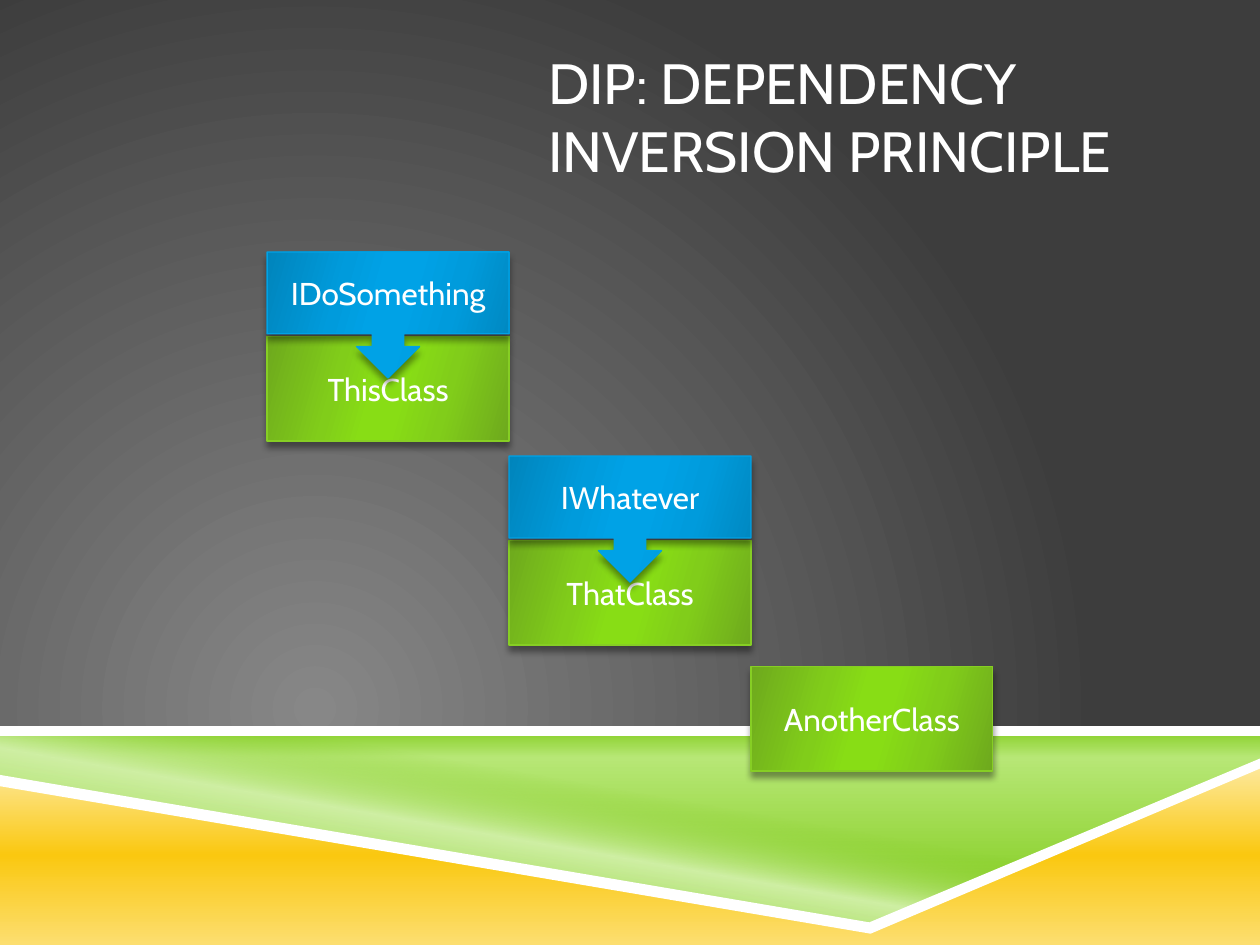
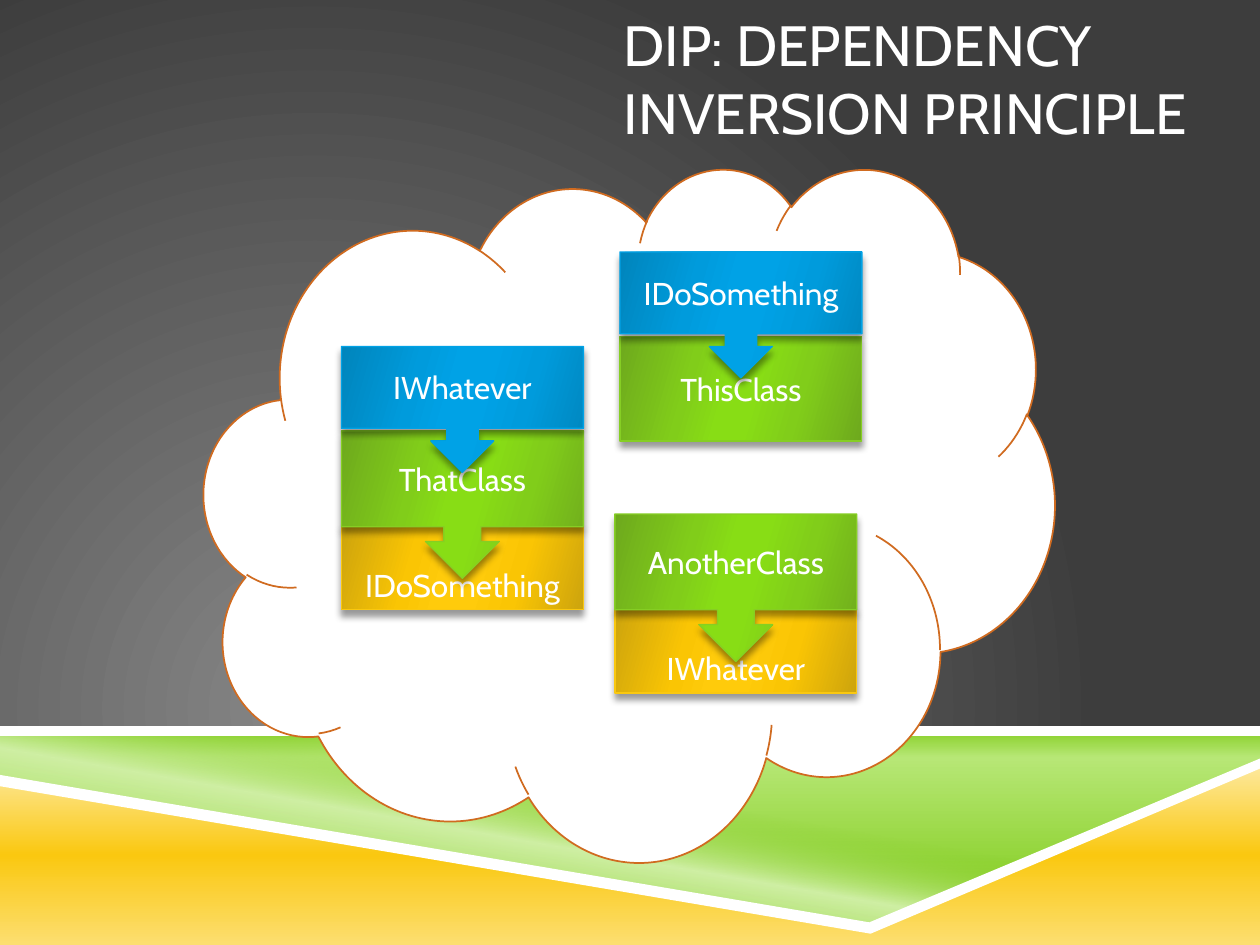
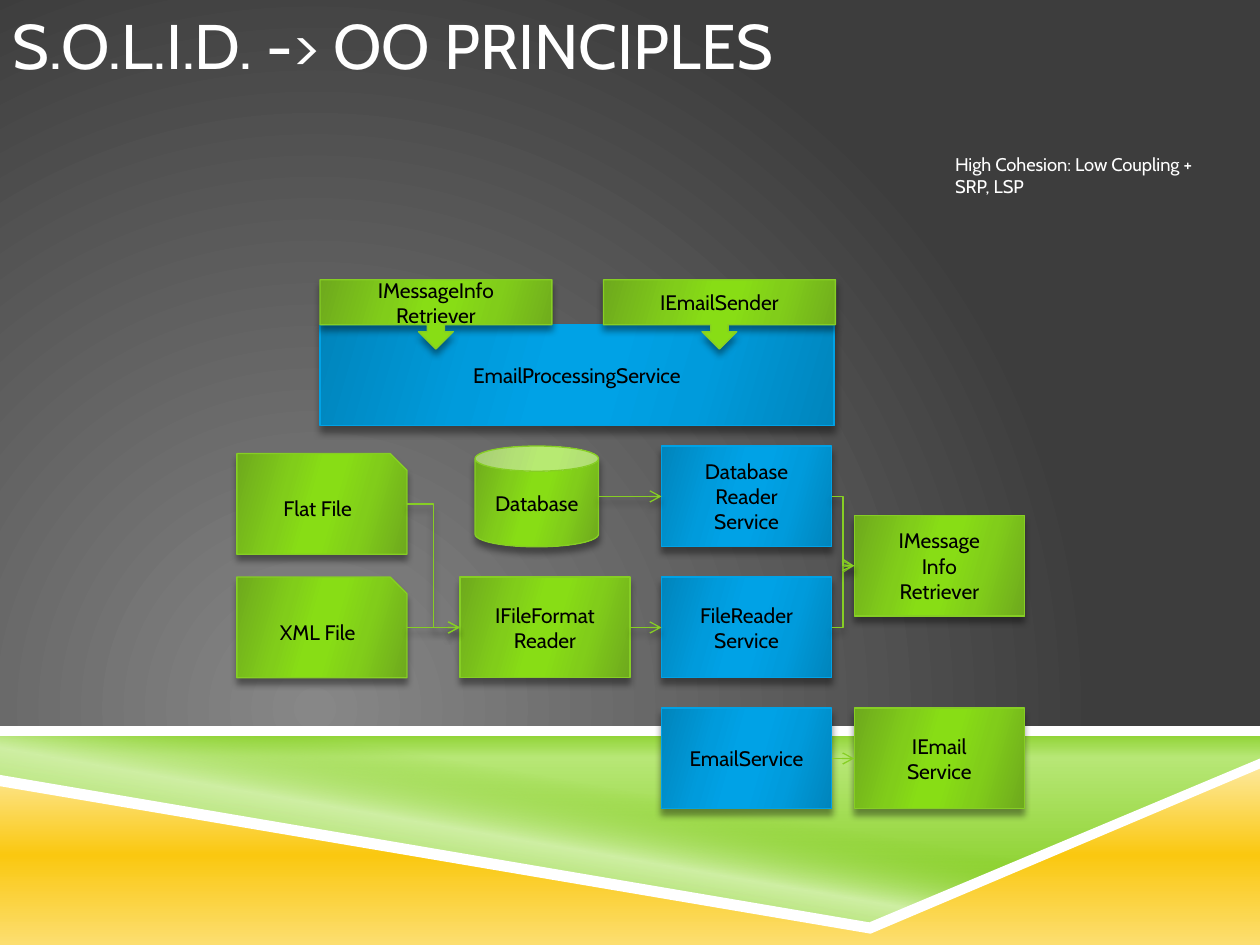
from lxml import etree
from pptx import Presentation
from pptx.dml.color import RGBColor
from pptx.enum import shapes, text
from pptx.oxml import ns
from pptx.util import Inches, Pt

FONT = "Cabin"
WHITE, BLACK = "FFFFFF", "000000"
SHAPE = shapes.MSO_SHAPE

# Outline, then the dark, middle and bright tones of the glossy fill
GREEN = ("86CE24", "6EA91D", "81CD1A", "88DD15")
BLUE = ("00A2E6", "0085BC", "009BDC", "00A2E6")
YELLOW = ("FAC810", "CDA40D", "FAC504", "FFCB0B")

STACK_WIDTH = 1.92
# kind: (shape, palette, height, step to the next part, anchor)
STACK_PARTS = {
    "interface": (SHAPE.DOWN_ARROW_CALLOUT, BLUE, 1, 0.67, text.MSO_ANCHOR.MIDDLE),
    "client": (SHAPE.DOWN_ARROW_CALLOUT, GREEN, 1.17, 0.75, text.MSO_ANCHOR.MIDDLE),
    "class": (SHAPE.RECTANGLE, GREEN, 0.83, 0.83, text.MSO_ANCHOR.MIDDLE),
    "dependency": (SHAPE.RECTANGLE, YELLOW, 0.67, 0.67, text.MSO_ANCHOR.BOTTOM),
}
NODE_WIDTH, NODE_HEIGHT = 1.35, 0.8


def color(value):
    return RGBColor.from_string(value)


def add_child(parent, tag, **attributes):
    child = etree.SubElement(parent, ns.qn(tag))
    for name, value in attributes.items():
        child.set(name, str(value))
    return child


def set_gradient(owner, fill, stops, angle=None, focus=None):
    """Fill with (percent, colour[, opacity]) stops, linear or circular around focus."""
    fill.gradient()
    gradient = next(owner.iter(ns.qn("a:gradFill")))
    for child in list(gradient):
        gradient.remove(child)
    stop_list = add_child(gradient, "a:gsLst")
    for percent, value, *opacity in stops:
        stop = add_child(stop_list, "a:gs", pos=percent * 1000)
        tone = add_child(stop, "a:srgbClr", val=value)
        if opacity:
            add_child(tone, "a:alpha", val=opacity[0] * 1000)
    if focus:
        circle = add_child(gradient, "a:path", path="circle")
        sides = {side: share * 1000 for side, share in zip("ltrb", focus)}
        add_child(circle, "a:fillToRect", **sides)
    else:
        add_child(gradient, "a:lin", ang=angle * 60000, scaled=0)


def set_effects(shape, shadow=True):
    """Give the shape a soft shadow below it, or none."""
    effects = add_child(shape._element.spPr, "a:effectLst")
    if shadow:
        outer = add_child(effects, "a:outerShdw", blurRad=Pt(4), dist=Pt(3.3),
                          dir=90 * 60000, rotWithShape=0)
        add_child(add_child(outer, "a:srgbClr", val=BLACK), "a:alpha", val=40000)


def write(frame, content, size, tone, align, anchor):
    frame.word_wrap = True
    frame.auto_size = text.MSO_AUTO_SIZE.NONE
    frame.vertical_anchor = anchor
    for index, line in enumerate(content.split("\n")):
        paragraph = frame.add_paragraph() if index else frame.paragraphs[0]
        paragraph.alignment = align
        run = paragraph.add_run()
        run.text = line
        run.font.name, run.font.size = FONT, Pt(size)
        run.font.color.rgb = color(tone)


def add_block(slide, kind, box, palette, label, size, tone,
              anchor=text.MSO_ANCHOR.MIDDLE):
    shape = slide.shapes.add_shape(kind, *map(Inches, box))
    outline, dark, middle, bright = palette
    set_gradient(shape._element, shape.fill, [
        (0, dark), (30, middle), (45, bright), (55, bright), (73, middle), (100, dark)], 16)
    shape.line.color.rgb = color(outline)
    shape.line.width = Pt(0.75)
    set_effects(shape)
    write(shape.text_frame, label, size, tone, text.PP_ALIGN.CENTER, anchor)
    return shape


def add_band(slide, points):
    corners = [(Inches(x), Inches(y)) for x, y in points]
    builder = slide.shapes.build_freeform(*corners[0])
    builder.add_line_segments(corners[1:], close=True)
    band = builder.convert_to_shape()
    band.line.fill.background()
    band.shadow.inherit = False
    return band


def dress_layout(layout, slide):
    """Put the background and bands on the layout; the slide serves to draw them."""
    for placeholder in list(layout.placeholders):
        if placeholder.placeholder_format.type != shapes.PP_PLACEHOLDER.TITLE:
            layout.shapes._spTree.remove(placeholder._element)
    set_gradient(layout._element, layout.background.fill,
                 [(0, "878787"), (100, "3D3D3D")], focus=(50, 100, 100, 50))

    valley = [(0, 5.8), (10, 5.79), (10, 6.07), (6.89, 7.37), (0, 6.19)]
    ground = [(0, 6.21), (6.92, 7.38), (10, 6.07), (10, 7.5), (0, 7.5)]
    gradient_bands = [
        (valley, [(0, "86CE24"), (14, "B7E776"), (83, "86CE24")], 90),
        (valley, [(41, "86CE24", 0), (57, "CFEFA4"), (100, "86CE24", 0)], 100),
        (ground, [(0, "FDE99F"), (50, "FAC810"), (100, "FCDE70")], 90),
    ]
    white_bands = [
        [(0, 5.76), (10, 5.76), (10, 5.84), (0, 5.84)],
        [(0, 6.15), (6.9, 7.32), (10, 6.02), (10, 6.1), (6.91, 7.41), (0, 6.24)],
    ]
    bands = []
    for points, stops, angle in gradient_bands:
        band = add_band(slide, points)
        set_gradient(band._element, band.fill, stops, angle)
        bands.append(band)
    for points in white_bands:
        band = add_band(slide, points)
        band.fill.solid()
        band.fill.fore_color.rgb = color(WHITE)
        bands.append(band)
    for band in bands:
        layout.shapes._spTree.append(band._element)


def set_title(slide, content, box, size=32.4):
    title = slide.shapes.title
    title.left, title.top, title.width, title.height = map(Inches, box)
    write(title.text_frame, content, size, WHITE, text.PP_ALIGN.LEFT, text.MSO_ANCHOR.TOP)


def add_stack(slide, left, top, *parts):
    """Stack (kind, label) parts downwards, each overlapping the next one."""
    placed = []
    for kind, label in parts:
        placed.append((top, kind, label))
        top += STACK_PARTS[kind][3]
    for part_top, kind, label in reversed(placed):
        preset, palette, height, _, anchor = STACK_PARTS[kind]
        add_block(slide, preset, (left, part_top, STACK_WIDTH, height), palette,
                  label, 18, WHITE, anchor)


def build_dependency_steps(slide):
    set_title(slide, "DIP: DEPENDENCY INVERSION PRINCIPLE", (4.25, 0.33, 5.08, 1.67))
    steps = [
        (2, [("interface", "IDoSomething"), ("class", "ThisClass")]),
        (3.62, [("interface", "IWhatever"), ("class", "ThatClass")]),
        (5.29, [("class", "AnotherClass")]),
    ]
    for index, (top, parts) in enumerate(steps):
        add_stack(slide, 2.12 + index * STACK_WIDTH, top, *parts)


def build_dependency_cloud(slide):
    set_title(slide, "DIP: DEPENDENCY INVERSION PRINCIPLE", (4.85, 0.03, 5.08, 1.67))
    cloud = slide.shapes.add_shape(SHAPE.CLOUD, *map(Inches, (1.62, 1.33, 6.75, 5.5)))
    cloud.fill.solid()
    cloud.fill.fore_color.rgb = color(WHITE)
    cloud.line.color.rgb = color("D06B20")
    cloud.line.width = Pt(1)
    cloud.shadow.inherit = False
    add_stack(slide, 2.71, 2.75, ("interface", "IWhatever"), ("client", "ThatClass"),
              ("dependency", "IDoSomething"))
    add_stack(slide, 4.92, 2, ("interface", "IDoSomething"), ("class", "ThisClass"))
    add_stack(slide, 4.88, 4.08, ("client", "AnotherClass"), ("dependency", "IWhatever"))


def connect(slide, begin, end, shadow=True):
    """Draw an arrow from the right side of one node to the left side of another."""
    begin_y, end_y = begin.top + begin.height // 2, end.top + end.height // 2
    kind = shapes.MSO_CONNECTOR.STRAIGHT if begin_y == end_y else shapes.MSO_CONNECTOR.ELBOW
    connector = slide.shapes.add_connector(
        kind, begin.left + begin.width, begin_y, end.left, end_y)
    if begin.auto_shape_type == SHAPE.RECTANGLE:
        connector.begin_connect(begin, 3)
    connector.end_connect(end, 1)
    connector.line.color.rgb = color(GREEN[0])
    connector.line.width = Pt(0.75)
    add_child(connector.line._get_or_add_ln(), "a:tailEnd", type="arrow")
    set_effects(connector, shadow)


def add_processing_service(slide, left, top):
    add_block(slide, SHAPE.RECTANGLE, (left, top + 0.36, 4.08, NODE_HEIGHT), BLUE,
              "EmailProcessingService", 12, BLACK)
    for offset, label in [(0, "IMessageInfo\nRetriever"), (2.25, "IEmailSender")]:
        add_block(slide, SHAPE.DOWN_ARROW_CALLOUT, (left + offset, top, 1.84, 0.55),
                  GREEN, label, 12, BLACK)


def add_reader_flow(slide, left, top):
    def node(x, y, label, palette=GREEN, kind=SHAPE.RECTANGLE, width=NODE_WIDTH):
        return add_block(slide, kind, (left + x, top + y, width, NODE_HEIGHT),
                         palette, label, 12, BLACK)

    formats, services, contracts = 1.77, 3.37, 4.9
    row = 1.04
    flat_file = node(0, 0.06, "Flat File", kind=SHAPE.SNIP_1_RECTANGLE)
    xml_file = node(0, row, "XML File", kind=SHAPE.SNIP_1_RECTANGLE)
    database = node(1.89, 0, "Database", kind=SHAPE.CAN, width=0.98)
    format_reader = node(formats, row, "IFileFormat Reader")
    database_reader = node(services, 0, "Database\nReader\nService", BLUE)
    file_reader = node(services, row, "FileReader\nService", BLUE)
    email_service = node(services, 2 * row, "EmailService", BLUE)
    retriever = node(contracts, 0.55, "IMessage\nInfo\nRetriever")
    email_contract = node(contracts, 2 * row, "IEmail\nService")

    for begin, end in [(flat_file, format_reader), (xml_file, format_reader),
                       (format_reader, file_reader), (database, database_reader),
                       (file_reader, retriever), (database_reader, retriever)]:
        connect(slide, begin, end)
    connect(slide, email_service, email_contract, shadow=False)


def build_principles(slide):
    set_title(slide, "S.O.L.I.D. -> OO PRINCIPLES", (0, 0, 6.33, 1.67), 36)
    caption = slide.shapes.add_textbox(*map(Inches, (7.58, 1.17, 2.17, 0.4))).text_frame
    caption.margin_left = caption.margin_right = caption.margin_bottom = 0
    write(caption, "High Cohesion: Low Coupling + SRP, LSP", 10.5, WHITE,
          text.PP_ALIGN.LEFT, text.MSO_ANCHOR.TOP)
    add_processing_service(slide, 2.54, 2.22)
    add_reader_flow(slide, 1.88, 3.54)


def main():
    presentation = Presentation()
    presentation.slide_width, presentation.slide_height = Inches(10), Inches(7.5)
    title_only = presentation.slide_layouts[5]
    builders = [build_dependency_steps, build_dependency_cloud, build_principles]
    for index, build in enumerate(builders):
        slide = presentation.slides.add_slide(title_only)
        if index == 0:
            dress_layout(title_only, slide)
        build(slide)
    presentation.save("out.pptx")


if __name__ == "__main__":
    main()
